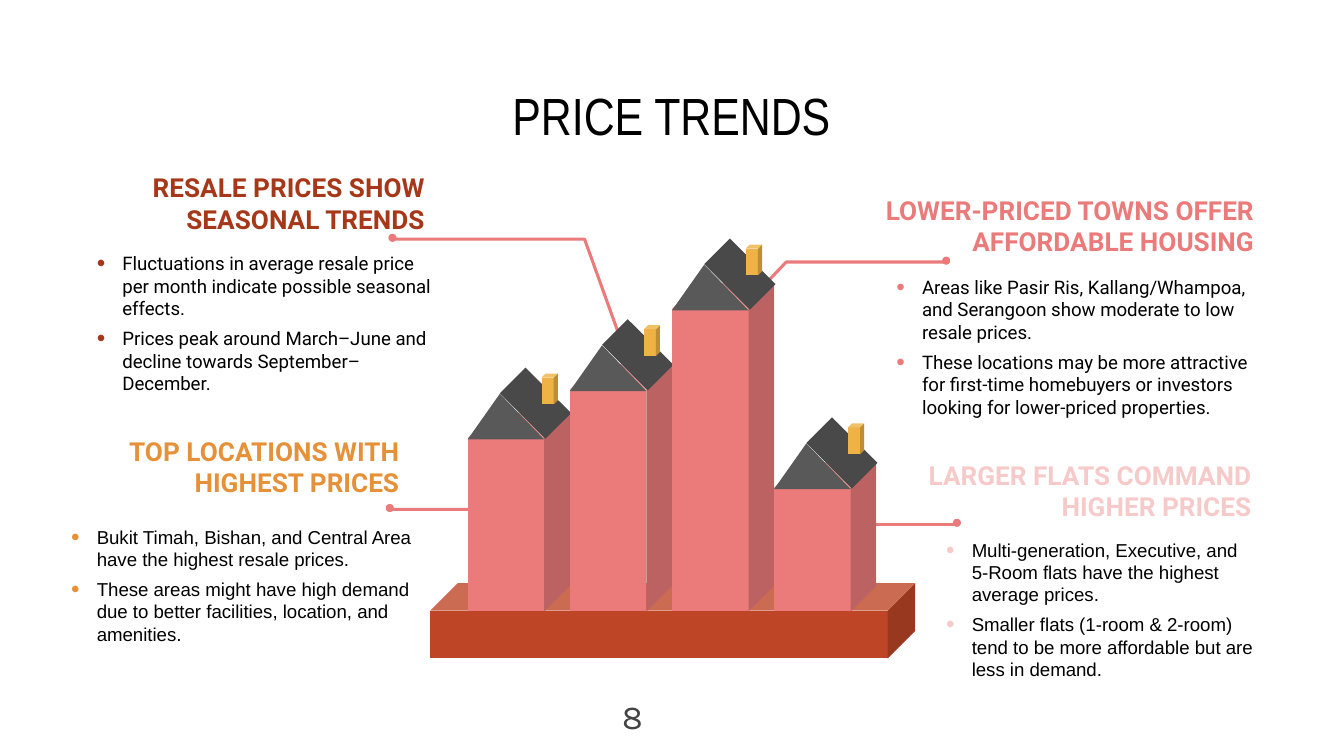
from dataclasses import dataclass

from lxml.etree import SubElement
from pptx import Presentation
from pptx.dml.color import RGBColor
from pptx.enum.shapes import MSO_CONNECTOR, MSO_SHAPE
from pptx.enum.text import MSO_ANCHOR, MSO_AUTO_SIZE, PP_ALIGN
from pptx.oxml.ns import qn
from pptx.util import Pt

PX = 9144


@dataclass(frozen=True)
class Theme:
    black: str = "000000"
    rust: str = "A73719"
    orange: str = "E69138"
    coral: str = "EB7B7B"
    blush: str = "F7CACA"
    base: str = "BE4626"
    roof: str = "4A4949"
    gable: str = "595959"
    chimney: str = "EEB245"
    number: str = "434343"
    title_size: int = 28
    heading_size: int = 14
    body_size: int = 10
    number_size: int = 18
    callout_width: float = 1.64
    dot_width: float = 0.75


THEME = Theme()

TITLE = "PRICE TRENDS"
PAGE = "8"
TRENDS = [
    dict(heading="RESALE PRICES SHOW SEASONAL TRENDS", heading_box=(73, 123, 253, 56),
         color=THEME.rust, font="Roboto", list_box=(62, 194, 276, 93),
         points=["Fluctuations in average resale price per month indicate possible seasonal effects.",
                 "Prices peak around March–June and decline towards September–December."],
         callout=[(292, 178), (435, 178), (462, 253)]),
    dict(heading="TOP LOCATIONS WITH HIGHEST PRICES", heading_box=(54, 319, 253, 56),
         color=THEME.orange, font="Arial", list_box=(43, 393, 277, 85),
         points=["Bukit Timah, Bishan, and Central Area have the highest resale prices.",
                 "These areas might have high demand due to better facilities, location, and amenities."],
         callout=[(290, 379), (395, 379), (434, 319)]),
    dict(heading="LOWER-PRICED TOWNS OFFER AFFORDABLE HOUSING", heading_box=(638, 140, 305, 56),
         color=THEME.coral, font="Roboto", list_box=(657, 207, 289, 102),
         points=["Areas like Pasir Ris, Kallang/Whampoa, and Serangoon show moderate to low resale prices.",
                 "These locations may be more attractive for first-time homebuyers or investors "
                 "looking for lower-priced properties."],
         callout=[(704, 195), (585, 195), (566, 215)]),
    dict(heading="LARGER FLATS COMMAND HIGHER PRICES", heading_box=(673, 337, 268, 56),
         color=THEME.blush, font="Arial", list_box=(694, 411, 249, 85),
         points=["Multi-generation, Executive, and 5-Room flats have the highest average prices.",
                 "Smaller flats (1-room & 2-room) tend to be more affordable but are less in demand."],
         callout=[(712, 390), (631, 390)]),
]

HOUSE_TOPS = [307, 271, 211, 344]
HOUSE_LEFT, HOUSE_WIDTH, GROUND = 348, 76, 455
BASE_BOX = (320, 434, 361, 56)
DOT = 5


def emu(*lengths):
    return [round(length * PX) for length in lengths]


def rgb(color):
    return RGBColor.from_string(color)


def write_text(holder, text, *, size, font, color, bold=False, align=PP_ALIGN.LEFT,
               anchor=MSO_ANCHOR.MIDDLE, inset=10, bullet=None, after=0):
    frame = holder.text_frame
    frame.word_wrap = True
    frame.auto_size = MSO_AUTO_SIZE.NONE
    frame.vertical_anchor = anchor
    frame.margin_left = frame.margin_right = 10 * PX
    frame.margin_top = frame.margin_bottom = inset * PX
    frame.text = text
    for paragraph in frame.paragraphs:
        paragraph.alignment = align
        paragraph.line_spacing = 1.0
        paragraph.space_before = Pt(0)
        paragraph.space_after = Pt(after)
        for run in paragraph.runs:
            run.font.size = Pt(size)
            run.font.name = font
            run.font.bold = bold
            run.font.color.rgb = rgb(color)
        if bullet:
            add_bullet(paragraph, bullet)


def add_bullet(paragraph, color):
    properties = paragraph._p.get_or_add_pPr()
    properties.set("marL", str(19 * PX))
    properties.set("indent", str(-19 * PX))
    tint = SubElement(properties, qn("a:buClr"))
    SubElement(tint, qn("a:srgbClr"), val=color)
    SubElement(properties, qn("a:buSzPct"), val="130000")
    SubElement(properties, qn("a:buFont"), typeface="Arial")
    SubElement(properties, qn("a:buChar"), char="•")


def place(holder, box):
    holder.left, holder.top, holder.width, holder.height = emu(*box)


def add_solid(slide, kind, box, color):
    solid = slide.shapes.add_shape(kind, *emu(*box))
    solid.shadow.inherit = False
    solid.fill.solid()
    solid.fill.fore_color.rgb = rgb(color)
    solid.line.fill.background()
    return solid


def add_outline(slide, points, closed):
    start, *rest = [emu(*point) for point in points]
    builder = slide.shapes.build_freeform(*start)
    builder.add_line_segments(rest, close=closed)
    outline = builder.convert_to_shape()
    outline.shadow.inherit = False
    return outline


def add_callout(slide, points):
    if len(points) == 2:
        callout = slide.shapes.add_connector(MSO_CONNECTOR.STRAIGHT, *emu(*points[0], *points[1]))
        SubElement(callout._element.spPr, qn("a:effectLst"))
    else:
        callout = add_outline(slide, points, closed=False)
        callout.fill.background()
    callout.line.color.rgb = rgb(THEME.coral)
    callout.line.width = Pt(THEME.callout_width)
    x, y = points[0]
    dot = add_solid(slide, MSO_SHAPE.OVAL, (x - DOT / 2, y - 1 - DOT / 2, DOT, DOT), THEME.coral)
    dot.line.color.rgb = rgb(THEME.coral)
    dot.line.width = Pt(THEME.dot_width)


def add_house(slide, left, top):
    add_solid(slide, MSO_SHAPE.CUBE, (left, top, HOUSE_WIDTH, GROUND - top), THEME.coral)
    roof = add_solid(slide, MSO_SHAPE.RECTANGLE, (left + 37, top - 31, 27, 48), THEME.roof)
    roof.rotation = 315
    add_solid(slide, MSO_SHAPE.CUBE, (left + 55, top - 29, 12, 23), THEME.chimney)
    gable = add_outline(slide, [(left + 24, top - 14), (left + 57, top + 20),
                                (left, top + 20)], closed=True)
    gable.fill.solid()
    gable.fill.fore_color.rgb = rgb(THEME.gable)
    gable.line.fill.background()


def main():
    deck = Presentation()
    deck.slide_width = 1000 * PX
    deck.slide_height = deck.slide_width * 9 // 16
    slide = deck.slides.add_slide(deck.slide_layouts.get_by_name("Comparison"))
    title, *lists = slide.placeholders

    place(title, (312, 59, 375, 53))
    write_text(title, TITLE, size=THEME.title_size, font="Arial Narrow",
               color=THEME.black, align=PP_ALIGN.CENTER)

    base = add_solid(slide, MSO_SHAPE.CUBE, BASE_BOX, THEME.base)
    base.adjustments[0] = 0.365

    for trend, points in zip(TRENDS, lists):
        heading = slide.shapes.add_textbox(*emu(*trend["heading_box"]))
        write_text(heading, trend["heading"], size=THEME.heading_size, font="Roboto",
                   color=trend["color"], bold=True, align=PP_ALIGN.RIGHT)
        place(points, trend["list_box"])
        write_text(points, "\n".join(trend["points"]), size=THEME.body_size, font=trend["font"],
                   color=THEME.black, bullet=trend["color"], after=4)
        add_callout(slide, trend["callout"])

    for position, top in enumerate(HOUSE_TOPS):
        add_house(slide, HOUSE_LEFT + HOUSE_WIDTH * position, top)

    number = slide.shapes.add_textbox(*emu(453, 513, 51, 40))
    write_text(number, PAGE, size=THEME.number_size, font="Karla", color=THEME.number,
               anchor=MSO_ANCHOR.TOP, inset=5)
    deck.save("out.pptx")


if __name__ == "__main__":
    main()
